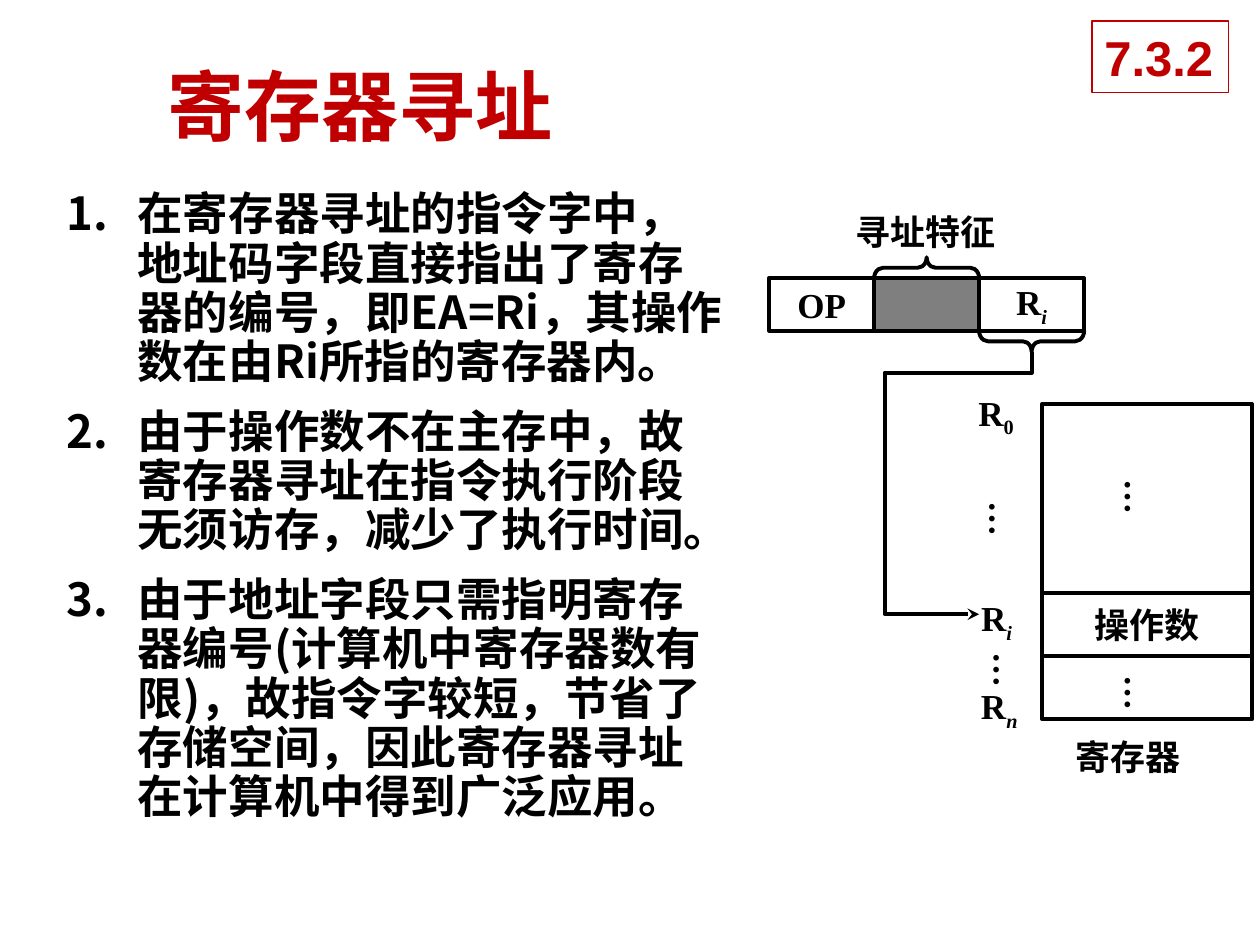
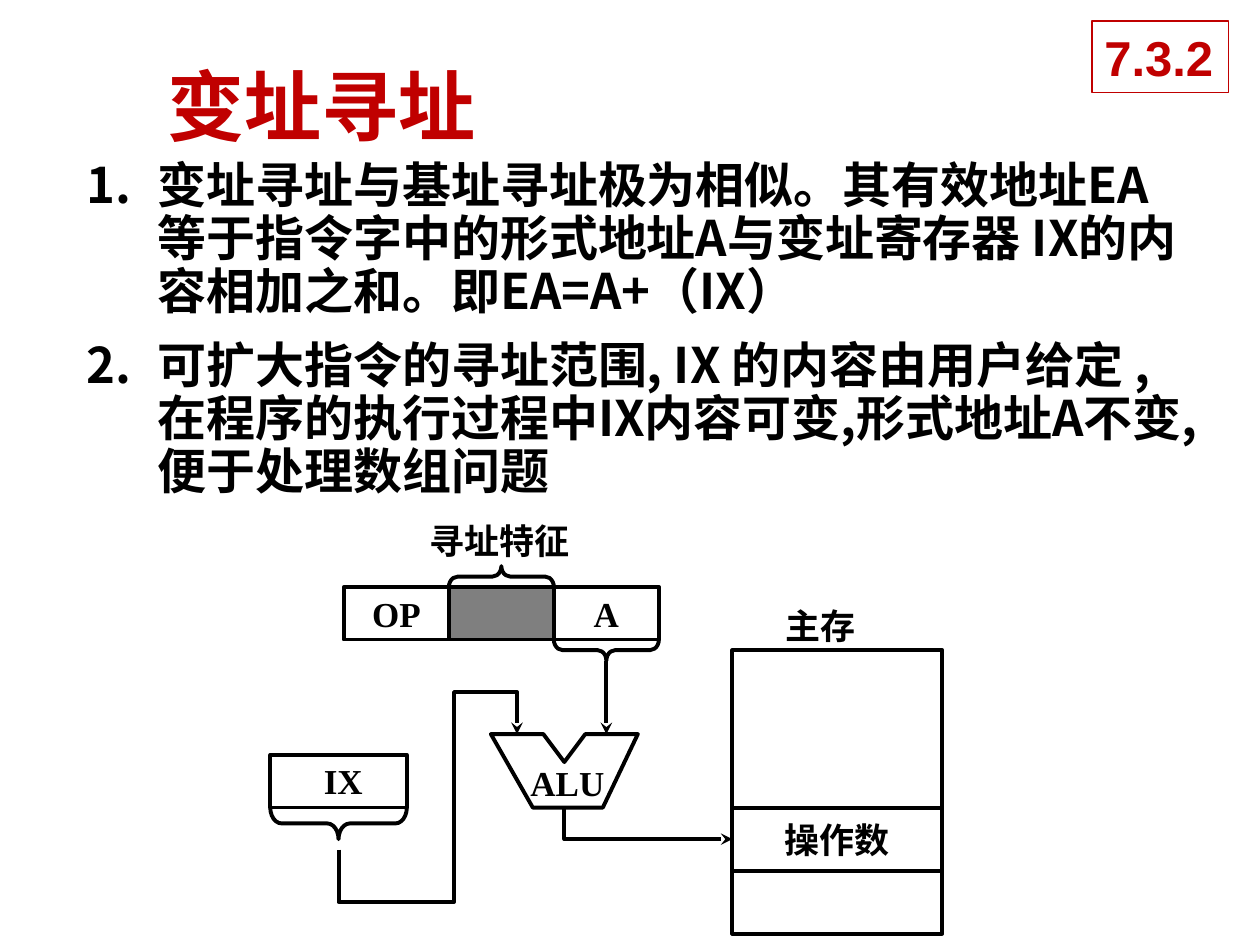
import pptx
import pptx.dml.color
import pptx.enum.lang
import pptx.enum.shapes
import pptx.enum.text
import pptx.oxml.ns
import pptx.util
from lxml import etree

Pt = pptx.util.Pt
qn = pptx.oxml.ns.qn
SHAPE = pptx.enum.shapes.MSO_SHAPE
ALIGN = pptx.enum.text.PP_ALIGN
ANCHOR = pptx.enum.text.MSO_ANCHOR

RED = pptx.dml.color.RGBColor(0xC0, 0x00, 0x00)
BLACK = pptx.dml.color.RGBColor(0x00, 0x00, 0x00)
WHITE = pptx.dml.color.RGBColor(0xFF, 0xFF, 0xFF)
CHINESE_FONT = "Noto Sans CJK SC"
DIAGRAM_FONT = "Times New Roman"
SECTION_FONT = "Arial"

LINE_WIDTH = 2.25
FIELD_WIDTH, FIELD_HEIGHT = 60, 30
BRACE_DEPTH = 12
MEMORY_WIDTH, WORD_HEIGHT = 120, 36
LABEL_HEIGHT = 31


def write_text(frame, *paragraphs, size=20, font=DIAGRAM_FONT, color=BLACK,
               align=None, anchor=ANCHOR.TOP, wrap=False, grow=False,
               sub="", sub_italic=True, numbered=False):
    """Fill a text frame; sub is a subscript after each paragraph."""
    frame.word_wrap = wrap
    frame.vertical_anchor = anchor
    if grow:
        frame.auto_size = pptx.enum.text.MSO_AUTO_SIZE.SHAPE_TO_FIT_TEXT
    for index, text in enumerate(paragraphs):
        paragraph = frame.add_paragraph() if index else frame.paragraphs[0]
        paragraph.alignment = align
        if numbered:
            paragraph.line_spacing = 0.9
            paragraph.space_before = paragraph.space_after = Pt(6)
            properties = paragraph._p.get_or_add_pPr()
            properties.set("marL", str(Pt(40.5)))
            properties.set("indent", str(-Pt(40.5)))
            etree.SubElement(properties, qn("a:buAutoNum"), type="arabicPeriod")
        for part in filter(None, (text, sub)):
            run = paragraph.add_run()
            run.text = part
            run.font.size = Pt(size)
            run.font.bold = True
            run.font.name = font
            run.font.color.rgb = color
            run.font.language_id = pptx.enum.lang.MSO_LANGUAGE_ID.SIMPLIFIED_CHINESE
            etree.SubElement(run.font._element, qn("a:ea"), typeface=CHINESE_FONT)
        if sub:
            run.font.italic = sub_italic
            run.font._element.set("baseline", "-25000")


class AddressingDeck:
    """Holds the shared style and the current slide."""

    def __init__(self):
        self.deck = pptx.Presentation()
        self.deck.slide_width, self.deck.slide_height = Pt(720), Pt(540)
        self.shapes = None

    def new_slide(self, title):
        slide = self.deck.slides.add_slide(self.deck.slide_layouts[6])
        self.shapes = slide.shapes
        self.text_box(88.5, 30, 606, 60, title, size=44, font=CHINESE_FONT,
                      color=RED, anchor=ANCHOR.MIDDLE, wrap=True)

    def text_box(self, x, y, width, height, *paragraphs, **style):
        box = self.shapes.add_textbox(Pt(x), Pt(y), Pt(width), Pt(height))
        write_text(box.text_frame, *paragraphs, **style)
        return box

    def body(self, x, y, width, height, *points, size):
        box = self.text_box(x, y, width, height, *points, size=size,
                            font=CHINESE_FONT, wrap=True, numbered=True)
        box.fill.solid()
        box.fill.fore_color.rgb = WHITE

    def section_mark(self, number):
        mark = self.text_box(624, 12, 78, 41, number, size=28,
                             font=SECTION_FONT, color=RED, grow=True)
        mark.fill.solid()
        mark.fill.fore_color.rgb = WHITE
        mark.line.color.rgb = RED
        mark.line.width = Pt(0.75)

    def label(self, x, y, width, text, **style):
        self.text_box(x, y, width, LABEL_HEIGHT, text, grow=True, **style)

    def dots(self, x, y):
        ellipsis = self.text_box(x, y, 38, 27, "…", grow=True)
        ellipsis.text_frame._txBody.bodyPr.set("vert", "eaVert")

    def outline(self, shape, arrow=False):
        """Give a shape or connector the diagram's black line."""
        shape.line.color.rgb = BLACK
        shape.line.width = Pt(LINE_WIDTH)
        line = shape._element.spPr.find(qn("a:ln"))
        etree.SubElement(line, qn("a:round"))
        if arrow:
            etree.SubElement(line, qn("a:tailEnd"), type="stealth")

    def cell(self, x, y, width, height, text="", kind=SHAPE.RECTANGLE, **style):
        shape = self.shapes.add_shape(kind, Pt(x), Pt(y), Pt(width), Pt(height))
        shape.shadow.inherit = False
        shape.fill.background()
        self.outline(shape)
        if text:
            write_text(shape.text_frame, text, align=ALIGN.CENTER,
                       anchor=ANCHOR.MIDDLE, **style)
        return shape

    def brace(self, x, y, length, depth=BRACE_DEPTH, up=False, bend=0.42):
        """Horizontal brace whose bounds start at x, y."""
        shift = (length - depth) / 2
        brace = self.cell(x + shift, y - shift, depth, length, kind=SHAPE.LEFT_BRACE)
        brace.adjustments[0] = bend
        brace.rotation = 90 if up else 270

    def polyline(self, *corners, closed=False):
        start, *others = [(Pt(x), Pt(y)) for x, y in corners]
        builder = self.shapes.build_freeform(*start)
        builder.add_line_segments(others, close=closed)
        shape = builder.convert_to_shape()
        shape.shadow.inherit = False
        shape.fill.background()
        self.outline(shape, arrow=not closed)

    def arrow(self, x1, y1, x2, y2):
        connector = self.shapes.add_connector(
            pptx.enum.shapes.MSO_CONNECTOR.STRAIGHT, Pt(x1), Pt(y1), Pt(x2), Pt(y2))
        self.outline(connector, arrow=True)
        etree.SubElement(connector._element.spPr, qn("a:effectLst"))

    def instruction(self, x, y, address, sub=""):
        """OP, addressing mode and address fields with their braces."""
        mode_x, address_x = x + FIELD_WIDTH, x + 2 * FIELD_WIDTH
        self.cell(x, y, FIELD_WIDTH, FIELD_HEIGHT, "OP")
        mode = self.cell(mode_x, y, FIELD_WIDTH, FIELD_HEIGHT)
        mode.fill.solid()
        mode.fill.fore_color.rgb = BLACK
        color = mode._element.spPr.find(qn("a:solidFill"))[0]
        etree.SubElement(color, qn("a:alpha"), val="50000")
        self.cell(address_x, y, FIELD_WIDTH, FIELD_HEIGHT, address, sub=sub)
        self.brace(mode_x, y - BRACE_DEPTH, FIELD_WIDTH, up=True)
        self.label(x + 42, y - 42, 95, "寻址特征")
        self.brace(address_x, y + FIELD_HEIGHT, FIELD_WIDTH)

    def memory(self, x, y, upper_height):
        operand_y = y + upper_height
        self.cell(x, y, MEMORY_WIDTH, upper_height)
        self.cell(x, operand_y, MEMORY_WIDTH, WORD_HEIGHT, "操作数")
        self.cell(x, operand_y + WORD_HEIGHT, MEMORY_WIDTH, WORD_HEIGHT)


def register_slide(deck):
    deck.new_slide("寄存器寻址")
    deck.body(
        31, 106, 391, 397,
        "在寄存器寻址的指令字中，地址码字段直接指出了寄存器的编号，即EA=Ri，其操作数在由Ri所指的寄存器内。",
        "由于操作数不在主存中，故寄存器寻址在指令执行阶段无须访存，减少了执行时间。",
        "由于地址字段只需指明寄存器编号(计算机中寄存器数有限)，故指令字较短，节省了存储空间，因此寄存器寻址在计算机中得到广泛应用。",
        size=26)
    deck.instruction(439.5, 159, "R", sub="i")
    deck.polyline((589.5, 201), (589.5, 213), (505.5, 213), (505.5, 351), (559.5, 351))

    # Register file
    deck.memory(595.5, 231, 108)
    for x, y in ((628.5, 267), (628.5, 379), (551, 279.5), (553.5, 366)):
        deck.dots(x, y)
    deck.label(552, 220, 35, "R", sub="0", sub_italic=False)
    deck.label(553.5, 337.5, 32.5, "R", sub="i")
    deck.label(553.5, 387.5, 36, "R", sub="n")
    deck.label(607.5, 417, 75, "寄存器")
    deck.section_mark("7.3.2")


def index_slide(deck):
    deck.new_slide("变址寻址")
    deck.body(
        42.5, 88.5, 641.5, 199,
        "变址寻址与基址寻址极为相似。其有效地址EA等于指令字中的形式地址A与变址寄存器 IX的内容相加之和。即EA=A+（IX）",
        "可扩大指令的寻址范围, IX 的内容由用户给定 ,在程序的执行过程中IX内容可变,形式地址A不变,便于处理数组问题",
        size=28)
    deck.instruction(196.5, 335.5, "A")

    # Main memory
    deck.memory(418.5, 371.5, 90)
    deck.label(442, 342, 55, "主存")

    # Adder
    alu_x, alu_y = 280.5, 419.5
    alu_corners = ((0, 0), (30, 0), (42, 16), (54, 0), (84, 0), (64, 42), (24, 42))
    deck.polyline(*((alu_x + x, alu_y + y) for x, y in alu_corners), closed=True)
    deck.label(296, 431.5, 57, "ALU")

    # Index register
    deck.label(178, 430.5, 36.5, "IX")
    deck.cell(154.5, 431.5, 78, FIELD_HEIGHT)
    deck.brace(154.5, 461.5, 78, depth=18, bend=0.36)

    # Address flow
    deck.arrow(346.5, 377.5, 346.5, alu_y)
    deck.polyline((322.5, 461.5), (322.5, 479.5), (418.5, 479.5))
    deck.polyline((193.5, 485.5), (193.5, 515.5), (259.5, 515.5),
                  (259.5, 395.5), (295.5, 395.5), (295.5, alu_y))
    deck.section_mark("7.3.2")


def main():
    addressing = AddressingDeck()
    register_slide(addressing)
    index_slide(addressing)
    addressing.deck.save("out.pptx")


if __name__ == "__main__":
    main()
